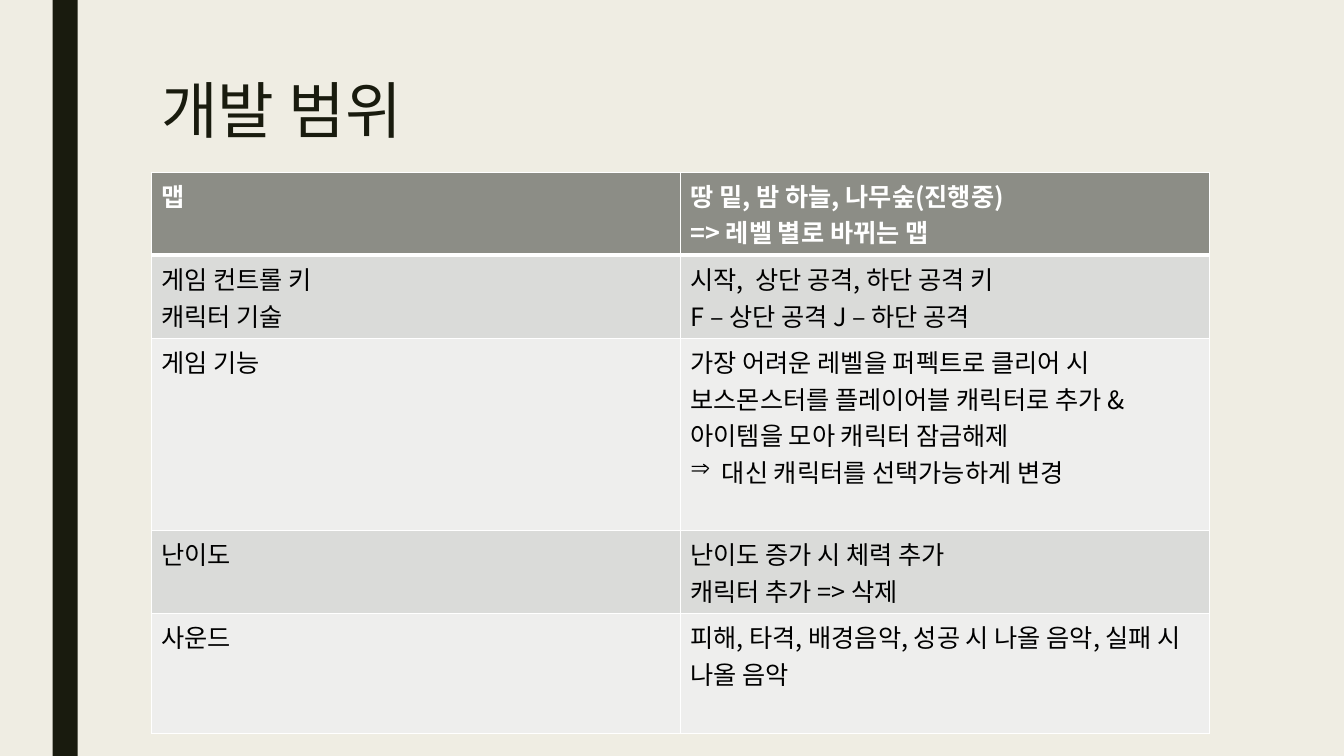
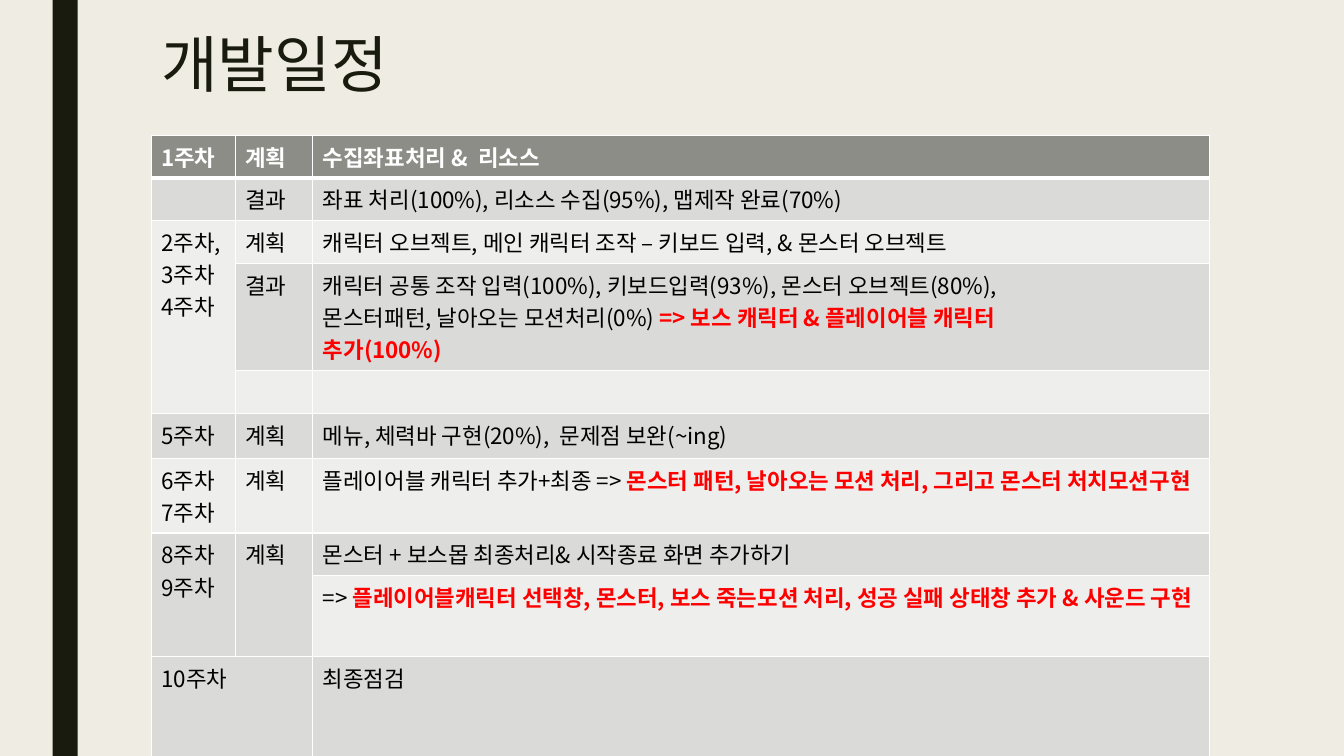
"""Build two slides on the scope and the schedule of a game project."""
import pptx
import pptx.dml.color
import pptx.enum.shapes
import pptx.enum.text
import pptx.oxml.ns
import pptx.util
from lxml import etree

RGB = pptx.dml.color.RGBColor
qn = pptx.oxml.ns.qn

SCALE = 9525
FONT = "Noto Sans CJK KR"
CREAM = RGB(0xEF, 0xED, 0xE3)
DARK = RGB(0x19, 0x1B, 0x0E)
GREY = RGB(0x8C, 0x8D, 0x86)
BANDS = (RGB(0xEE, 0xEE, 0xED), RGB(0xDA, 0xDB, 0xD9))
WHITE = RGB(0xFF, 0xFF, 0xFF)
BLACK = RGB(0, 0, 0)
RED = RGB(0xFF, 0, 0)
LEFT, WIDTH = 144, 1008
ARROW = "⇒"

SCOPE = [
    ["맵", "땅 밑, 밤 하늘, 나무숲(진행중)\n=> 레벨 별로 바뀌는 맵"],
    ["게임 컨트롤 키\n캐릭터 기술",
     "시작,  상단 공격, 하단 공격 키\nF – 상단 공격 J – 하단 공격"],
    ["게임 기능",
     "가장 어려운 레벨을 퍼펙트로 클리어 시 보스몬스터를 플레이어블 캐릭터로 "
     "추가 & 아이템을 모아 캐릭터 잠금해제\n⇒대신 캐릭터를 선택가능하게 변경"],
    ["난이도", "난이도 증가 시 체력 추가\n캐릭터 추가 => 삭제"],
    ["사운드", "피해, 타격, 배경음악, 성공 시 나올 음악, 실패 시 나올 음악"],
]

WEEKS = [
    ["1주차", "계획", "수집좌표처리 &  리소스"],
    ["", "결과", "좌표 처리(100%), 리소스 수집(95%), 맵제작 완료(70%)"],
    ["2주차,\n3주차\n4주차", "계획",
     "캐릭터 오브젝트, 메인 캐릭터 조작 – 키보드 입력, & 몬스터 오브젝트"],
    ["", "결과",
     "캐릭터 공통 조작 입력(100%), 키보드입력(93%), 몬스터 오브젝트(80%),\n"
     "몬스터패턴, 날아오는 모션처리(0%) |=> 보스 캐릭터 & 플레이어블 캐릭터\n"
     "|추가(100%)"],
    ["", "", ""],
    ["5주차", "계획", "메뉴, 체력바 구현(20%),  문제점 보완(~ing)"],
    ["6주차\n7주차", "계획",
     "플레이어블 캐릭터 추가+최종 => |몬스터 패턴, 날아오는 모션 처리, "
     "그리고 몬스터 처치모션구현"],
    ["8주차\n9주차", "계획", "몬스터 + 보스몹 최종처리& 시작종료 화면 추가하기"],
    ["", "",
     "=> |플레이어블캐릭터 선택창, 몬스터, 보스 죽는모션 처리, "
     "성공 실패 상태창 추가 & 사운드 구현"],
    ["10주차", "", "최종점검"],
]
SPANS = [(2, 0, 4, 0), (7, 0, 8, 0), (7, 1, 8, 1), (9, 0, 9, 1)]


def px(num):
    """Turn px into EMU."""
    return pptx.util.Emu(num * SCALE)


def style(run, size, tint, bold=False):
    """Set the font of a run, for Latin and Korean letters alike."""
    font = run.font
    font.size, font.bold, font.name = pptx.util.Pt(size), bold, FONT
    font.color.rgb = tint
    east = etree.SubElement(run._r.get_or_add_rPr(), qn("a:ea"))
    east.set("typeface", FONT)


def theme(deck, slide):
    """Give the master its ground and its dark band."""
    master = deck.slide_master
    master.background.fill.solid()
    master.background.fill.fore_color.rgb = CREAM
    band = slide.shapes.add_shape(
        pptx.enum.shapes.MSO_SHAPE.RECTANGLE, px(50), 0, px(24), px(720))
    band.shadow.inherit = False
    band.fill.solid()
    band.fill.fore_color.rgb = DARK
    band.line.fill.background()
    band.element.nvSpPr.cNvPr.set("id", "99")
    master.shapes.element.insert(2, band.element)


def head(slide, text, top):
    """Fill and place the title."""
    title = slide.shapes.title
    title.left, title.top = px(LEFT), px(top)
    title.width, title.height = px(WIDTH), px(156)
    frame = title.text_frame
    frame.text = text
    frame.auto_size = pptx.enum.text.MSO_AUTO_SIZE.NONE
    frame.vertical_anchor = pptx.enum.text.MSO_ANCHOR.TOP
    para = frame.paragraphs[0]
    para.alignment = pptx.enum.text.PP_ALIGN.LEFT
    para.line_spacing = 0.89
    style(para.runs[0], 44, DARK)


def edge(cell, side, width):
    """Draw one white side of a cell."""
    line = etree.SubElement(cell._tc.get_or_add_tcPr(), qn("a:ln" + side))
    line.set("w", str(pptx.util.Pt(width)))
    fill = etree.SubElement(line, qn("a:solidFill"))
    etree.SubElement(fill, qn("a:srgbClr")).set("val", str(WHITE))


def bullet(para):
    """Hang a paragraph behind an arrow bullet."""
    props = para._p.get_or_add_pPr()
    props.set("marL", str(px(30)))
    props.set("indent", str(px(-30)))
    etree.SubElement(props, qn("a:buChar")).set("char", ARROW)


def write(cell, text, size, top):
    """Fill a cell; a bar starts red text, an arrow makes a bullet."""
    cell.text_frame.text = text
    for para in cell.text_frame.paragraphs:
        plain, _, red = para.text.partition("|")
        para.text = plain.removeprefix(ARROW)
        if plain.startswith(ARROW):
            bullet(para)
        for run in para.runs:
            style(run, size, WHITE if top else BLACK, top)
        if red:
            run = para.add_run()
            run.text = red
            style(run, size, RED, True)
        if not para.runs:
            end = etree.SubElement(para._p, qn("a:endParaRPr"))
            end.set("sz", str(size * 100))


def paint(cell, row):
    """Set the sides and the fill of a cell by its row."""
    for side in "LRTB":
        thick = (row, side) in ((0, "B"), (1, "T"))
        edge(cell, side, 3 if thick else 1)
    cell.fill.solid()
    cell.fill.fore_color.rgb = BANDS[row % 2] if row else GREY


def grid(slide, data, top, cols, rows, size, spans=()):
    """Add a table with a dark first row and banded others."""
    table = slide.shapes.add_table(
        len(rows), len(cols), px(LEFT), px(top),
        px(sum(cols)), px(sum(rows))).table
    for col, width in zip(table.columns, cols):
        col.width = px(width)
    for row, height in zip(table.rows, rows):
        row.height = px(height)
    for y, x, low, right in spans:
        table.cell(y, x).merge(table.cell(low, right))
    for y, line in enumerate(data):
        for x, text in enumerate(line):
            cell = table.cell(y, x)
            write(cell, text, size, y == 0)
            if not cell.is_spanned:
                paint(cell, y)


def main():
    """Build and save the deck."""
    deck = pptx.Presentation()
    deck.slide_width, deck.slide_height = px(1280), px(720)
    scope, weeks = [deck.slides.add_slide(deck.slide_layouts[5])
                    for _ in range(2)]
    theme(deck, scope)
    head(scope, "개발 범위", 72)
    grid(scope, SCOPE, 164, [WIDTH // 2] * 2, [78, 79, 183, 79, 114], 18)
    head(weeks, "개발일정", 28)
    grid(weeks, WEEKS, 129, [80, 74, 854],
         [40, 40, 41, 101, 41, 43, 71, 40, 77, 97], 16, SPANS)
    deck.save("out.pptx")


if __name__ == "__main__":
    main()
